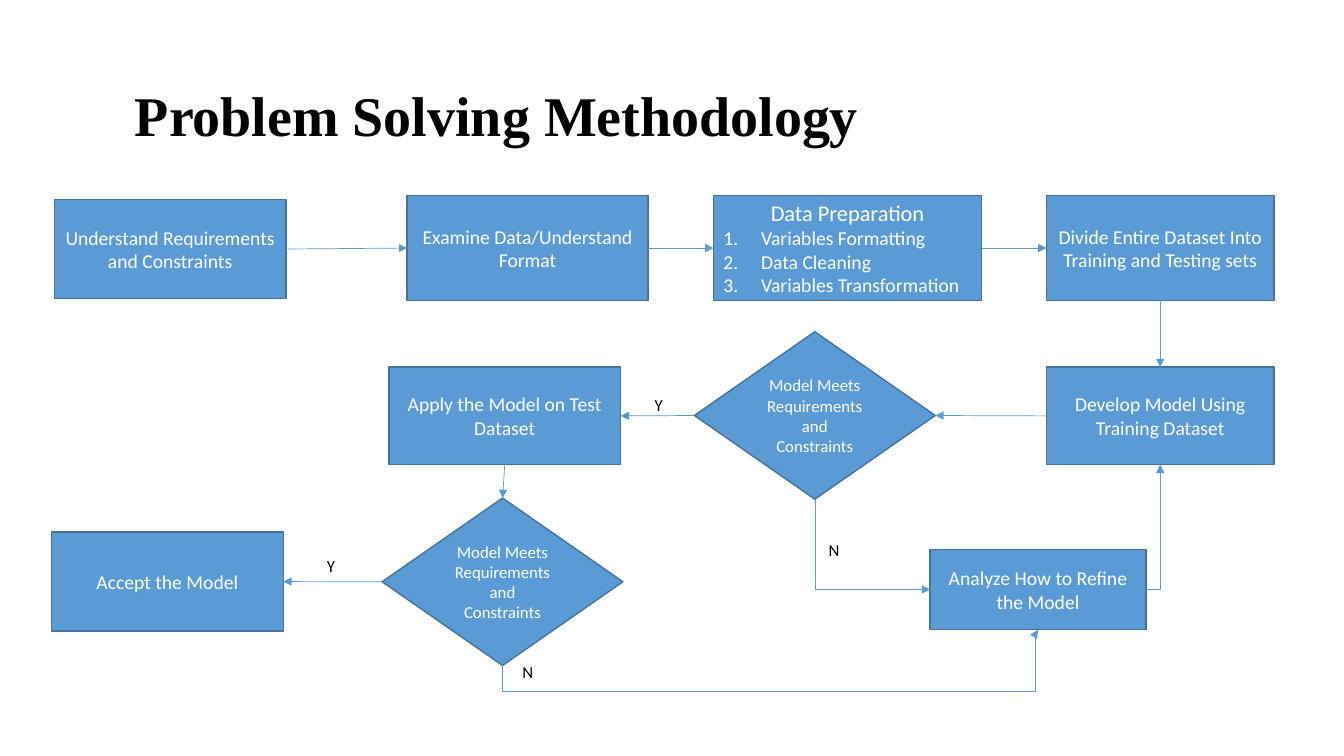
from dataclasses import dataclass

from lxml.etree import SubElement
from pptx import Presentation
from pptx.dml.color import RGBColor
from pptx.enum.shapes import MSO_CONNECTOR as LINE, MSO_SHAPE as SHAPE
from pptx.enum.text import MSO_ANCHOR as ANCHOR, PP_ALIGN as ALIGN
from pptx.oxml.ns import qn
from pptx.util import Cm, Pt

TOP, LEFT, BOTTOM, RIGHT = range(4)


@dataclass(frozen=True)
class Theme:
    fill: RGBColor = RGBColor(0x5B, 0x9B, 0xD5)
    border: RGBColor = RGBColor(0x43, 0x73, 0x9E)
    light: RGBColor = RGBColor(0xFF, 0xFF, 0xFF)
    dark: RGBColor = RGBColor(0, 0, 0)
    title_font: str = "Times New Roman"
    body_font: str = "Calibri"
    title: int = 40
    heading: int = 16
    body: int = 14
    small: int = 12
    border_width: float = 1
    arrow_width: float = 0.5


class FlowSlide:
    def __init__(self, slide, theme):
        self.slide = slide
        self.theme = theme

    def add_text(self, p, text, size, color, font=None, bold=False):
        r = p.add_run()
        r.text = text
        r.font.name = font or self.theme.body_font
        r.font.size = Pt(size)
        r.font.color.rgb = color
        r.font.bold = bold

    def text_box(self, x, y, w, h):
        tf = self.slide.shapes.add_textbox(Cm(x), Cm(y), Cm(w), Cm(h)).text_frame
        tf.word_wrap = True
        tf.vertical_anchor = ANCHOR.MIDDLE
        return tf.paragraphs[0]

    def title(self, text, x, y, w, h):
        t = self.theme
        p = self.text_box(x, y, w, h)
        p.line_spacing = 0.9
        self.add_text(p, text, t.title, t.dark, t.title_font, bold=True)

    def label(self, text, x, y):
        p = self.text_box(x, y, 1.04, 0.79)
        p.alignment = ALIGN.CENTER
        self.add_text(p, text, self.theme.small, self.theme.dark)

    def node(self, text, x, y, w, h, kind=SHAPE.RECTANGLE, size=None):
        t = self.theme
        s = self.slide.shapes.add_shape(kind, Cm(x), Cm(y), Cm(w), Cm(h))
        s.shadow.inherit = False
        s.fill.solid()
        s.fill.fore_color.rgb = t.fill
        s.line.color.rgb = t.border
        s.line.width = Pt(t.border_width)
        tf = s.text_frame
        tf.word_wrap = True
        tf.vertical_anchor = ANCHOR.MIDDLE
        p = tf.paragraphs[0]
        p.alignment = ALIGN.CENTER
        self.add_text(p, text, size or t.body, t.light)
        return s

    def decision(self, text, x, y):
        return self.node(text, x, y, 6.07, 4.22, SHAPE.FLOWCHART_DECISION, self.theme.small)

    def numbered(self, s, items):
        indent = Cm(0.95)
        for item in items:
            p = s.text_frame.add_paragraph()
            p.alignment = ALIGN.LEFT
            pPr = p._p.get_or_add_pPr()
            pPr.set("marL", str(indent))
            pPr.set("indent", str(-indent))
            SubElement(pPr, qn("a:buFont"), typeface="+mj-lt")
            SubElement(pPr, qn("a:buAutoNum"), type="arabicPeriod")
            self.add_text(p, item, self.theme.body, self.theme.light)

    def arrow(self, start, start_site, end, end_site, kind=LINE.STRAIGHT):
        c = self.slide.shapes.add_connector(kind, 0, 0, 0, 0)
        c.begin_connect(start, start_site)
        c.end_connect(end, end_site)
        c.line.color.rgb = self.theme.fill
        c.line.width = Pt(self.theme.arrow_width)
        spPr = c._element.spPr
        SubElement(spPr.find(qn("a:ln")), qn("a:tailEnd"), type="triangle")
        SubElement(spPr, qn("a:effectLst"))
        return c

    def elbow(self, start, start_site, end, end_site, preset, angle=0, flips="", adjust=()):
        c = self.arrow(start, start_site, end, end_site, LINE.ELBOW)
        spPr = c._element.spPr
        geom = spPr.find(qn("a:prstGeom"))
        geom.set("prst", preset)
        guides = geom.find(qn("a:avLst"))
        for i, value in enumerate(adjust, 1):
            SubElement(guides, qn("a:gd"), name=f"adj{i}", fmla=f"val {value}")
        if angle:
            mid_x, mid_y = c.left + c.width // 2, c.top + c.height // 2
            c.width, c.height = c.height, c.width
            c.left, c.top = mid_x - c.width // 2, mid_y - c.height // 2
            xfrm = spPr.find(qn("a:xfrm"))
            xfrm.set("rot", str(angle * 60000))
            xfrm.set("flipH", str(int("h" in flips)))
            xfrm.set("flipV", str(int("v" in flips)))


def main():
    prs = Presentation()
    prs.slide_width, prs.slide_height = Cm(33.87), Cm(19.05)
    theme = Theme()
    flow = FlowSlide(prs.slides.add_slide(prs.slide_layouts[6]), theme)

    flow.title("Problem Solving Methodology", 3.15, 1.78, 25.88, 2.39)

    understand = flow.node("Understand Requirements and Constraints", 1.37, 5.03, 5.84, 2.49)
    examine = flow.node("Examine Data/Understand Format", 10.26, 4.93, 6.07, 2.64)
    prepare = flow.node("Data Preparation", 17.98, 4.93, 6.76, 2.64, size=theme.heading)
    flow.numbered(prepare, ["Variables Formatting", "Data Cleaning", "Variables Transformation"])
    divide = flow.node("Divide Entire Dataset Into Training and Testing sets", 26.37, 4.93, 5.74, 2.64)
    develop = flow.node("Develop Model Using Training Dataset", 26.37, 9.25, 5.74, 2.46)
    analyze = flow.node("Analyze How to Refine the Model", 23.44, 13.84, 5.44, 2.03)
    apply_model = flow.node("Apply the Model on Test Dataset", 9.8, 9.25, 5.84, 2.46)
    accept = flow.node("Accept the Model", 1.3, 13.41, 5.84, 2.49)
    question = "Model Meets Requirements and Constraints"
    train_check = flow.decision(question, 17.5, 8.36)
    test_check = flow.decision(question, 9.63, 12.55)

    for start, start_site, end, end_site in [
        (understand, RIGHT, examine, LEFT),
        (examine, RIGHT, prepare, LEFT),
        (prepare, RIGHT, divide, LEFT),
        (divide, BOTTOM, develop, TOP),
        (develop, LEFT, train_check, RIGHT),
        (train_check, LEFT, apply_model, RIGHT),
        (apply_model, BOTTOM, test_check, TOP),
        (test_check, LEFT, accept, RIGHT),
    ]:
        flow.arrow(start, start_site, end, end_site)

    flow.elbow(train_check, BOTTOM, analyze, LEFT, "bentConnector2", 270, "h")
    flow.elbow(analyze, RIGHT, develop, BOTTOM, "bentConnector2")
    flow.elbow(test_check, BOTTOM, analyze, BOTTOM, "bentConnector4", 90, "hv", (-72600, 99400))

    for text, x, y in [
        ("Y", 7.82, 13.87),
        ("N", 12.78, 16.54),
        ("Y", 16.08, 9.8),
        ("N", 20.5, 13.46),
    ]:
        flow.label(text, x, y)

    prs.save("out.pptx")


if __name__ == "__main__":
    main()
